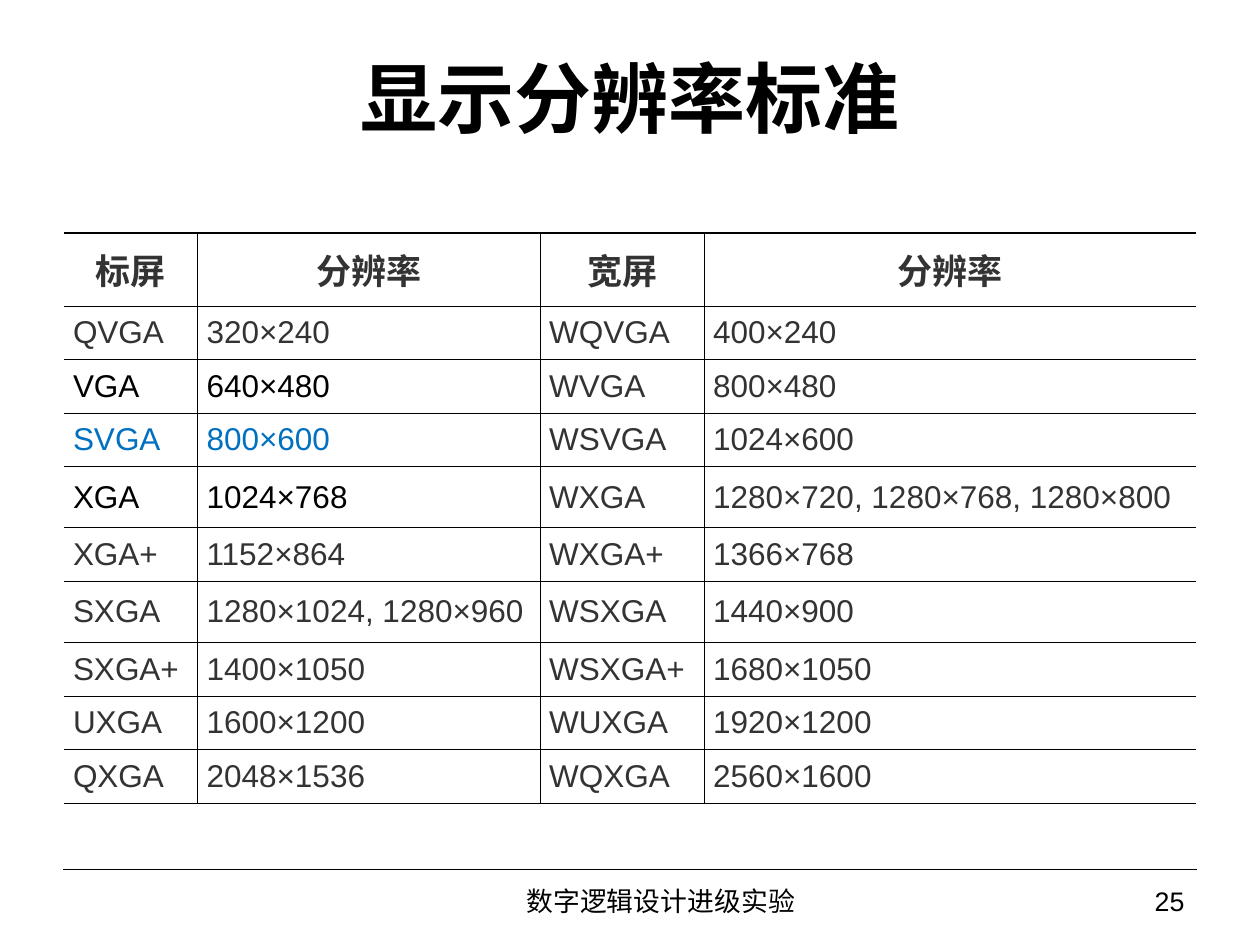
from lxml.etree import SubElement
from pptx import Presentation
from pptx.dml.color import RGBColor
from pptx.enum.shapes import MSO_CONNECTOR
from pptx.enum.text import MSO_ANCHOR, MSO_AUTO_SIZE, PP_ALIGN
from pptx.oxml.ns import qn
from pptx.util import Inches, Pt


class Theme:
    black = RGBColor.from_string("000000")
    grey = RGBColor.from_string("333333")
    blue = RGBColor.from_string("0070C0")
    white = RGBColor.from_string("FFFFFF")
    title_font, body_font = "Times New Roman", "Arial"
    title_size, header_size, body_size, footer_size = 44, 20, 18, 15.3
    thin, thick, rule = 0.45, 1.08, 0.75


def write_text(frame, text, *, size=Theme.body_size, font=Theme.body_font,
               color=Theme.black, bold=False, align=PP_ALIGN.LEFT, spacing=1.0):
    paragraph = frame.paragraphs[0]
    paragraph.alignment = align
    paragraph.line_spacing = spacing
    run = paragraph.add_run()
    run.text = text
    run.font.size = Pt(size)
    run.font.name = font
    run.font.bold = bold
    run.font.color.rgb = color


def add_border(cell, side, width):
    """Draw one cell edge (L, R, T or B); a width of 0 hides it."""
    edge = SubElement(cell._tc.get_or_add_tcPr(), qn(f"a:ln{side}"), w=str(Pt(width)))
    if width:
        fill = SubElement(edge, qn("a:solidFill"))
        SubElement(fill, qn("a:srgbClr"), val=str(Theme.black))
    else:
        SubElement(edge, qn("a:noFill"))


prs = Presentation()
prs.slide_width, prs.slide_height = Inches(10), Inches(7.5)
slide = prs.slides.add_slide(prs.slide_layouts[5])
unit = prs.slide_width / 20  # a grid of 20 columns and 15 rows

title = slide.shapes.title
title.left, title.top, title.width, title.height = (
    int(n * unit) for n in (1, 0.6, 18, 1.86))
title.text_frame.auto_size = MSO_AUTO_SIZE.NONE
title.text_frame.vertical_anchor = MSO_ANCHOR.MIDDLE
write_text(title.text_frame, "显示分辨率标准", size=Theme.title_size,
           font=Theme.title_font, bold=True, align=PP_ALIGN.CENTER)

# Resolution table: standard screens on the left, wide screens on the right
resolutions = [
    ("标屏", "分辨率", "宽屏", "分辨率"),
    ("QVGA", "320×240", "WQVGA", "400×240"),
    ("VGA", "640×480", "WVGA", "800×480"),
    ("SVGA", "800×600", "WSVGA", "1024×600"),
    ("XGA", "1024×768", "WXGA", "1280×720, 1280×768, 1280×800"),
    ("XGA+", "1152×864", "WXGA+", "1366×768"),
    ("SXGA", "1280×1024, 1280×960", "WSXGA", "1440×900"),
    ("SXGA+", "1400×1050", "WSXGA+", "1680×1050"),
    ("UXGA", "1600×1200", "WUXGA", "1920×1200"),
    ("QXGA", "2048×1536", "WQXGA", "2560×1600"),
]
highlights = {"VGA": Theme.black, "SVGA": Theme.blue, "XGA": Theme.black}
column_units = (2.12, 5.44, 2.6, 7.8)
header_units, row_units, list_row_units = 1.16, 0.85, 0.97
last_column = len(column_units) - 1

table = slide.shapes.add_table(
    len(resolutions), len(column_units), int(1.02 * unit), int(3.7 * unit),
    int(sum(column_units) * unit), int(9.05 * unit)).table
table.first_row = table.horz_banding = False
for column, width in zip(table.columns, column_units):
    column.width = int(width * unit)

for r, entries in enumerate(resolutions):
    is_header = r == 0
    has_list = any("," in entry for entry in entries)
    height = header_units if is_header else list_row_units if has_list else row_units
    table.rows[r].height = int(height * unit)
    for c, entry in enumerate(entries):
        cell = table.cell(r, c)
        cell.vertical_anchor = MSO_ANCHOR.MIDDLE
        cell.margin_left = cell.margin_right = Inches(0.07)
        cell.margin_top = cell.margin_bottom = Inches(0.05)
        add_border(cell, "L", Theme.thin if c else 0)
        add_border(cell, "R", Theme.thin if c < last_column else 0)
        add_border(cell, "T", Theme.thick if is_header else Theme.thin)
        add_border(cell, "B", Theme.thin)
        cell.fill.solid()
        cell.fill.fore_color.rgb = Theme.white
        color = highlights.get(entries[0], Theme.grey) if c < 2 else Theme.grey
        write_text(cell.text_frame, entry, color=color, bold=is_header,
                   size=Theme.header_size if is_header else Theme.body_size,
                   align=PP_ALIGN.CENTER if is_header else PP_ALIGN.LEFT)

# Footer
footer_rule = slide.shapes.add_connector(
    MSO_CONNECTOR.STRAIGHT, *(int(n * unit) for n in (1, 13.8, 19, 13.8)))
footer_rule.line.color.rgb = Theme.black
footer_rule.line.width = Pt(Theme.rule)
SubElement(footer_rule._element.spPr, qn("a:effectLst"))

for text, left, width, align in (
    ("25", 15.5, 3.5, PP_ALIGN.RIGHT),
    ("数字逻辑设计进级实验", 5.66, 9.66, PP_ALIGN.CENTER),
):
    footer = slide.shapes.add_textbox(
        *(int(n * unit) for n in (left, 13.96, width, 0.74))).text_frame
    footer.word_wrap = True
    footer.vertical_anchor = MSO_ANCHOR.MIDDLE
    write_text(footer, text, size=Theme.footer_size, align=align, spacing=0.9)

prs.save("out.pptx")
